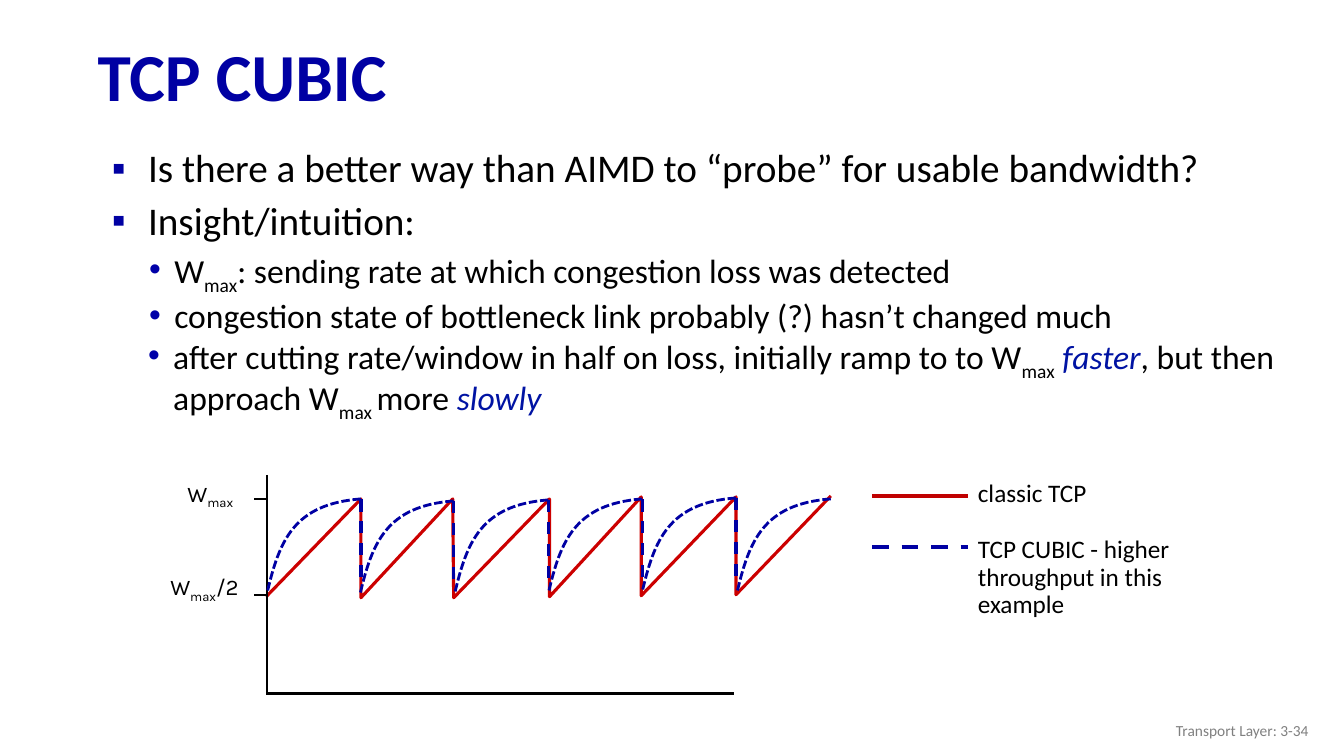
from dataclasses import dataclass

from lxml.etree import SubElement
from pptx import Presentation
from pptx.dml.color import RGBColor as RGB
from pptx.enum.dml import MSO_LINE as Dash
from pptx.enum.shapes import MSO_CONNECTOR as Link
from pptx.enum.text import MSO_ANCHOR as Anchor, MSO_AUTO_SIZE as Fit, PP_ALIGN as Align
from pptx.oxml.ns import qn
from pptx.util import Inches, Pt


@dataclass(frozen=True)
class Theme:
    font: str = "Calibri"
    label: str = "Karla"
    ink: str = "000000"
    blue: str = "0000A3"
    dot: str = "0000A8"
    stress: str = "0013A3"
    saw: str = "CC0000"
    key: str = "C00000"
    gray: str = "808080"
    title: int = 48
    body: int = 28
    sub: int = 24
    legend: int = 18
    tick: int = 16
    foot: int = 11


T = Theme()
TOP = [("W", ""), ("max", "low")]
# Loss points where each curve ends, and the corners of the sawtooth
PEAKS = [(3.58, 4.95), (4.5, 4.97), (5.44, 4.96), (6.37, 4.95), (7.3, 4.94), (8.24, 4.95)]
SAW = [(2.64, 5.92), (3.58, 4.95), (3.58, 5.93), (4.49, 4.95), (4.5, 5.93), (5.45, 4.95),
       (5.45, 5.92), (6.36, 4.93), (6.36, 5.91), (7.3, 4.93), (7.3, 5.9), (8.24, 4.92)]
BEND = [(-0.67, 0.05), (-0.81, 0.42), (-0.93, 0.93)]
DROP = 0.87
LEVELS = {
    1: dict(size=T.body, left=0.5, hang=-0.36, gap=10, mark="▪", tint=T.blue),
    2: dict(size=T.sub, left=0.76, hang=-0.25, gap=5, mark="•", tint=T.dot),
}


def apply(item, **values):
    for name, value in values.items():
        setattr(item, name, value)


def write(para, parts, size, color=T.ink, font=T.font, bold=None):
    """Add runs; a part is plain text or a (text, style) pair, style low or hot."""
    for text, style in [(parts, "")] if isinstance(parts, str) else parts:
        run = para.add_run()
        run.text = text
        apply(run.font, name=font, size=Pt(size), bold=bold)
        run.font.color.rgb = RGB.from_string(T.stress if style == "hot" else color)
        if style == "hot":
            run.font.italic = True
        if style == "low":
            run.font._element.set("baseline", "-25000")


def frame(slide, box, wrap=True, anchor=Anchor.TOP, fit=Fit.NONE):
    area = slide.shapes.add_textbox(*map(Inches, box)).text_frame
    apply(area, word_wrap=wrap, vertical_anchor=anchor, auto_size=fit)
    return area


def text(slide, box, parts, size, wrap=True, anchor=Anchor.TOP, fit=Fit.NONE,
         align=None, space=None, **look):
    para = frame(slide, box, wrap, anchor, fit).paragraphs[0]
    apply(para, alignment=align, line_spacing=space)
    write(para, parts, size, **look)


def bullets(slide, box, items):
    area = frame(slide, box)
    for spot, (level, parts) in enumerate(items):
        para = area.add_paragraph() if spot else area.paragraphs[0]
        form = LEVELS[level]
        apply(para, level=level - 1, line_spacing=0.9, space_before=Pt(form["gap"]))
        props = para._p.get_or_add_pPr()
        props.set("marL", str(Inches(form["left"])))
        props.set("indent", str(Inches(form["hang"])))
        SubElement(SubElement(props, qn("a:buClr")), qn("a:srgbClr"), val=form["tint"])
        SubElement(props, qn("a:buFont"), typeface="Arial")
        SubElement(props, qn("a:buChar"), char=form["mark"])
        write(para, parts, form["size"])


def stroke(shape, color, width, dash=None):
    apply(shape.line, width=Pt(width), dash_style=dash)
    shape.line.color.rgb = RGB.from_string(color)


def line(slide, start, end, color=T.ink, width=1.5, dash=None):
    link = slide.shapes.add_connector(Link.STRAIGHT, *map(Inches, start + end))
    stroke(link, color, width, dash)
    SubElement(link._element.spPr, qn("a:effectLst"))


def trace(slide, points, color, width, dash=None):
    first, *rest = [tuple(map(Inches, point)) for point in points]
    pen = slide.shapes.build_freeform(*first)
    pen.add_line_segments(rest, close=False)
    shape = pen.convert_to_shape()
    shape.fill.background()
    shape.shadow.inherit = False
    stroke(shape, color, width, dash)
    return shape


def curve(slide, peak):
    """Draw one cubic Bezier from a peak back to its trough."""
    knots = [(peak[0] + dx, peak[1] + dy) for dx, dy in BEND]
    shape = trace(slide, [peak, knots[-1]], T.blue, 2, Dash.SQUARE_DOT)
    chord = next(shape._element.iter(qn("a:lnTo")))
    route = chord.getparent()
    route.remove(chord)
    bend = SubElement(route, qn("a:cubicBezTo"))
    for x, y in knots:
        SubElement(bend, qn("a:pt"), x=str(Inches(x) - shape.left), y=str(Inches(y) - shape.top))


def graph(slide):
    trace(slide, SAW, T.saw, 2.25)
    line(slide, (2.64, 6.88), (7.28, 6.88))
    line(slide, (2.65, 4.71), (2.65, 6.89))
    for y in (4.95, 5.9):
        line(slide, (2.52, y), (2.64, y))
    look = dict(size=T.tick, wrap=False, fit=Fit.SHAPE_TO_FIT_TEXT, font=T.label)
    text(slide, (1.76, 4.71, 0.68, 0.37), TOP, **look)
    text(slide, (1.59, 5.64, 0.89, 0.37), TOP + [("/2", "")], **look)
    for x, y in PEAKS:
        curve(slide, (x, y))
        if (x, y) != PEAKS[-1]:
            line(slide, (x, y), (x, y + DROP), T.blue, 2.25, Dash.DASH)


def legend(slide):
    line(slide, (8.65, 4.92), (9.6, 4.92), T.key, 3)
    line(slide, (8.65, 5.43), (9.6, 5.43), T.blue, 3, Dash.DASH)
    look = dict(size=T.legend, fit=Fit.SHAPE_TO_FIT_TEXT)
    text(slide, (9.6, 4.69, 1.29, 0.4), "classic TCP", wrap=False, **look)
    text(slide, (9.6, 5.28, 2.39, 0.92), "TCP CUBIC - higher throughput in this example",
         space=0.9, **look)


def main():
    deck = Presentation()
    apply(deck, slide_width=Inches(13.33), slide_height=Inches(7.5))
    slide = deck.slides.add_slide(deck.slide_layouts[6])
    text(slide, (0.87, 0.3, 12.46, 0.98), "TCP CUBIC", T.title, anchor=Anchor.MIDDLE,
         space=0.9, color=T.blue, bold=True)
    bullets(slide, (0.87, 1.43, 12.21, 5.08), [
        (1, "Is there a better way than AIMD to “probe” for usable bandwidth?")])
    graph(slide)
    legend(slide)
    bullets(slide, (0.87, 1.95, 12.21, 5.08), [
        (1, "Insight/intuition:"),
        (2, TOP + [(": sending rate at which congestion loss was detected", "")]),
        (2, "congestion state of bottleneck link probably (?) hasn’t changed much")])
    bullets(slide, (0.86, 3.29, 12.21, 0.98), [
        (2, [("after cutting rate/window in half on loss, initially ramp to to W", ""),
             ("max", "low"), (" faster", "hot"), (", but then approach W", ""),
             ("max ", "low"), ("more ", ""), ("slowly", "hot")])])
    text(slide, (10.08, 7.05, 3, 0.4), "Transport Layer: 3-34", T.foot,
         anchor=Anchor.MIDDLE, align=Align.RIGHT, color=T.gray)
    deck.save("out.pptx")


if __name__ == "__main__":
    main()
